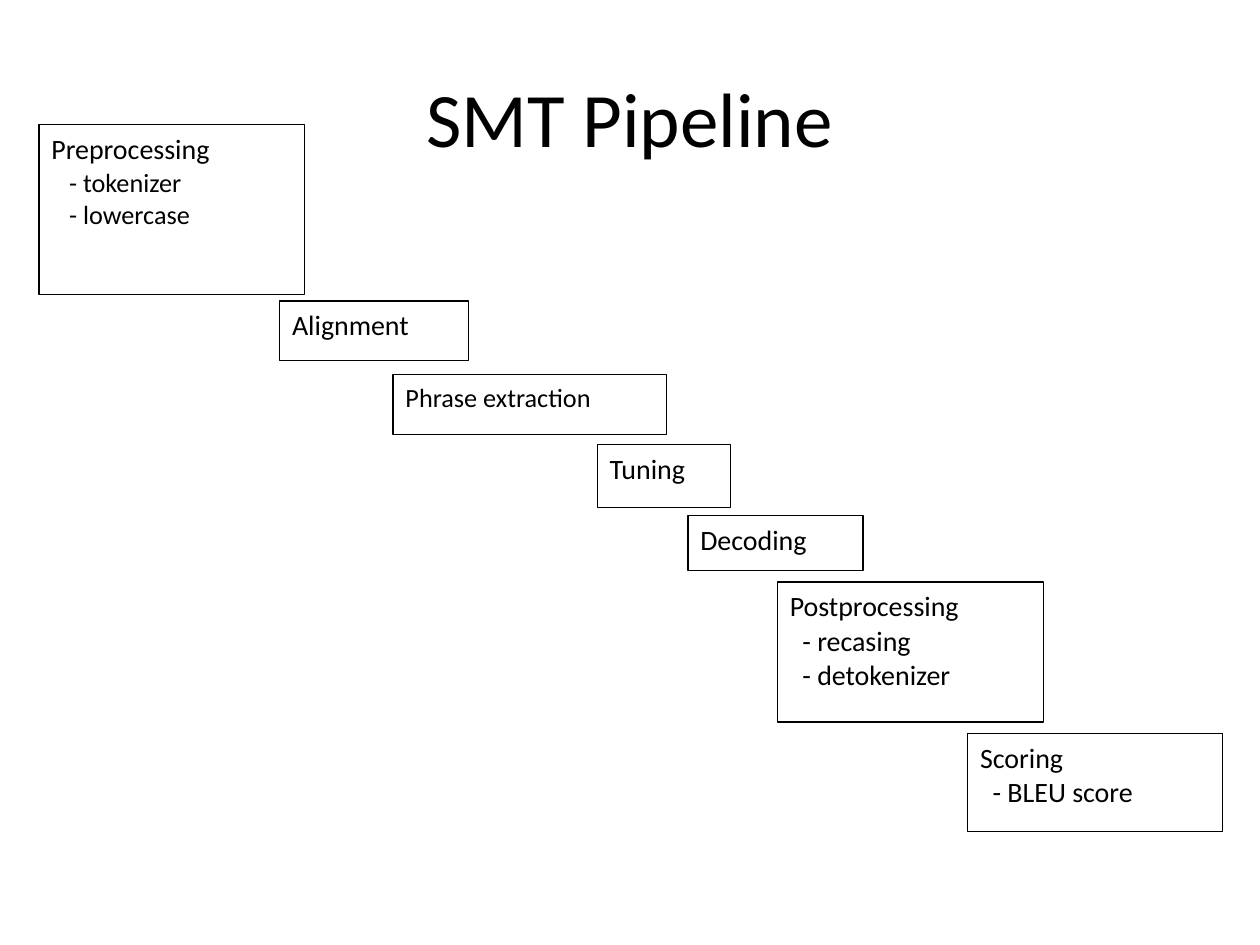
from pptx import Presentation, util as u
from pptx.dml.color import RGBColor
from pptx.enum import shapes, text

COLORS = {"ink": "000000", "paper": "FFFFFF"}
FONT = "Calibri"
INK = RGBColor.from_string(COLORS["ink"])

deck = Presentation()
deck.slide_width, deck.slide_height = u.Inches(10), u.Inches(7.5)
slide = deck.slides.add_slide(deck.slide_layouts[5])
slide.background.fill.solid()
slide.background.fill.fore_color.rgb = RGBColor.from_string(COLORS["paper"])


def add_line(paragraph, wording, size):
    run = paragraph.add_run()
    run.text = wording
    run.font.name, run.font.size = FONT, u.Pt(size)
    run.font.color.rgb = INK


# Title
title = slide.shapes.title
title.left, title.top = u.Inches(0.5), u.Inches(0.3)
title.width, title.height = u.Inches(9), u.Inches(1.25)
title.text_frame.vertical_anchor = text.MSO_ANCHOR.MIDDLE
title_line = title.text_frame.paragraphs[0]
title_line.alignment = text.PP_ALIGN.CENTER
add_line(title_line, "SMT Pipeline", 44)

# Pipeline stages: left, top, width, height, name, size, steps, step size, step indent
stages = [
    (0.31, 0.99, 2.11, 1.35, "Preprocessing", 16, ["tokenizer", "lowercase"], 15, 0.14),
    (2.22, 2.39, 1.50, 0.47, "Alignment", 16, [], 16, 0),
    (3.12, 2.97, 2.17, 0.48, "Phrase extraction", 15, [], 15, 0),
    (4.74, 3.53, 1.06, 0.50, "Tuning", 16, [], 16, 0),
    (5.46, 4.09, 1.39, 0.44, "Decoding", 16, [], 16, 0),
    (6.17, 4.62, 2.11, 1.11, "Postprocessing", 16, ["recasing", "detokenizer"], 16, 0.1),
    (7.68, 5.82, 2.02, 0.78, "Scoring", 16, ["BLEU score"], 16, 0.1),
]

for left, top, width, height, name, size, steps, step_size, indent in stages:
    stage = slide.shapes.add_shape(
        shapes.MSO_SHAPE.RECTANGLE,
        *(u.Inches(length) for length in (left, top, width, height)))
    stage.shadow.inherit = False
    stage.fill.background()
    stage.line.color.rgb = INK
    stage.line.width = u.Pt(0.74)

    frame = stage.text_frame
    frame.word_wrap = True
    frame.vertical_anchor = text.MSO_ANCHOR.TOP
    frame.margin_left = frame.margin_right = u.Inches(0.1)
    frame.margin_top = frame.margin_bottom = u.Inches(0.05)

    # Stage name, then its indented steps
    lines = [(name, size, 0)] + [(f"- {step}", step_size, indent) for step in steps]
    for number, (wording, line_size, margin) in enumerate(lines):
        paragraph = frame.add_paragraph() if number else frame.paragraphs[0]
        paragraph.alignment = text.PP_ALIGN.LEFT
        paragraph.line_spacing = 1.02
        if margin:
            paragraph._p.get_or_add_pPr().set("marL", str(u.Inches(margin)))
        add_line(paragraph, wording, line_size)

deck.save("out.pptx")
